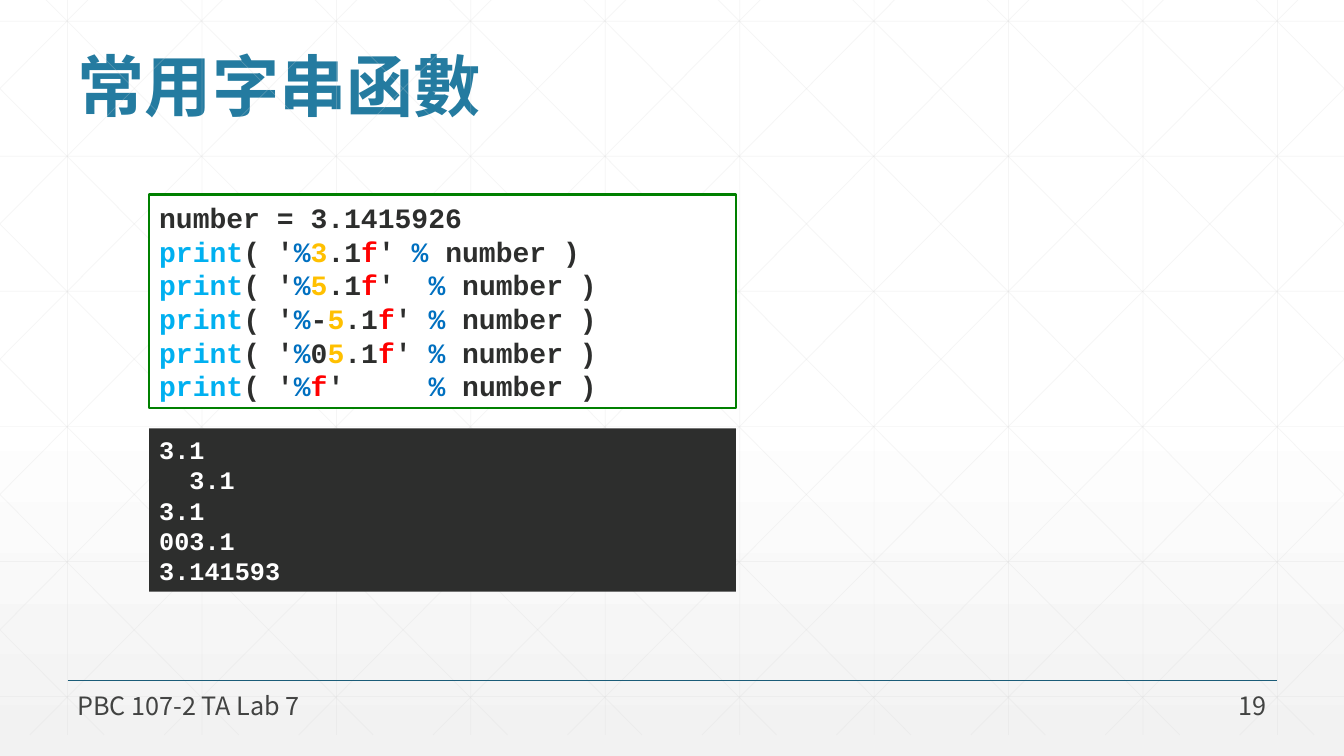
from lxml import etree
from pptx import Presentation
from pptx import util as u
from pptx.dml.color import RGBColor
from pptx.enum import shapes, text
from pptx.oxml.ns import qn

WIDTH, HEIGHT = 13.33, 7.5
SANS, MONO = "Noto Sans CJK TC", "Courier New"
INK, WHITE, GRID, GREY = "2D2E2D", "FFFFFF", "D9D9D9", "424342"
TOKEN_COLOURS = {"print": "00B0F0", "%": "0070C0", "3": "FFC000", "5": "FFC000", "f": "FF0000"}

# The bar separates tokens that may differ in colour.
CODE = [
    "number = 3.1415926",
    "print|( '|%|3|.1|f|' |%| number )",
    "print|( '|%|5|.1|f|'  |%| number )",
    "print|( '|%|-|5|.1|f|' |%| number )",
    "print|( '|%|0|5|.1|f|' |%| number )",
    "print|( '|%|f|'     |%| number )",
]
OUTPUT = ["3.1", "  3.1", "3.1", "003.1", "3.141593"]


def rgb(value):
    """Turn a hex string into a colour."""
    return RGBColor.from_string(value)


class SlideKit:
    """Holds the current slide and draws its elements in one style."""

    def __init__(self, page):
        self.page = page

    def background(self, top, bottom, start):
        """Fill the page with a downward gradient that begins at start."""
        fill = self.page.background.fill
        fill.gradient()
        fill.gradient_angle = 270
        first, last = fill.gradient_stops
        first.color.rgb, last.color.rgb = rgb(top), rgb(bottom)
        first.position, last.position = start, 1.0

    def line(self, x1, y1, x2, y2, colour, width, opacity=100):
        """Draw a straight line without a shadow."""
        connector = self.page.shapes.add_connector(
            shapes.MSO_CONNECTOR.STRAIGHT, *map(u.Inches, (x1, y1, x2, y2)))
        connector.line.width = u.Pt(width)
        connector.line.color.rgb = rgb(colour)
        properties = connector._element.spPr
        if opacity < 100:
            shade = properties.find(".//" + qn("a:srgbClr"))
            etree.SubElement(shade, qn("a:alpha")).set("val", str(opacity * 1000))
        etree.SubElement(properties, qn("a:effectLst"))

    def style(self, para, face, size, colour, bold=False, align=text.PP_ALIGN.LEFT):
        """Set the alignment and font of a paragraph."""
        para.alignment = align
        font = para.font
        font.size, font.bold, font.name = u.Pt(size), bold, face
        font.color.rgb = rgb(colour)
        etree.SubElement(font._element, qn("a:ea")).set("typeface", face)

    def title(self, words, left, top, width, height):
        """Place and format the title placeholder."""
        box = self.page.shapes.title
        box.left, box.top, box.width, box.height = map(u.Inches, (left, top, width, height))
        frame = box.text_frame
        frame.text = words
        frame.auto_size = text.MSO_AUTO_SIZE.NONE
        frame.vertical_anchor = text.MSO_ANCHOR.BOTTOM
        para = frame.paragraphs[0]
        para.line_spacing = 0.9
        self.style(para, SANS, 48, "247BA0", bold=True)

    def label(self, words, left, width, align):
        """Write a footer text."""
        box = self.page.shapes.add_textbox(*map(u.Inches, (left, 6.88, width, 0.24)))
        frame = box.text_frame
        frame.word_wrap = True
        frame.margin_top = frame.margin_bottom = 0
        frame.vertical_anchor = text.MSO_ANCHOR.MIDDLE
        frame.text = words
        self.style(frame.paragraphs[0], SANS, 18, GREY, align=align)

    def listing(self, lines, top, height, size, fill, colour, border=None, tokens=None):
        """Draw a panel of monospaced lines, colouring known tokens."""
        box = self.page.shapes.add_shape(
            shapes.MSO_SHAPE.RECTANGLE, *map(u.Inches, (1.48, top, 5.82, height)))
        box.shadow.inherit = False
        box.fill.solid()
        box.fill.fore_color.rgb = rgb(fill)
        if border:
            box.line.color.rgb = rgb(border)
            box.line.width = u.Pt(1.5)
        else:
            box.line.fill.background()
        frame = box.text_frame
        frame.word_wrap = True
        frame.vertical_anchor = text.MSO_ANCHOR.MIDDLE
        for index, line in enumerate(lines):
            para = frame.add_paragraph() if index else frame.paragraphs[0]
            self.style(para, MONO, size, colour, bold=True)
            for token in line.split("|"):
                span = para.add_run()
                span.text = token
                span.font.color.rgb = rgb((tokens or {}).get(token, colour))

    def lattice(self):
        """Draw the faint grid with its mirrored diagonals."""
        step, top, bottom, run = 4 / 3, -0.21, 7.29, 7.45
        faint = (GRID, 0.5, 25)
        for column in range(10):
            x = 0.67 + column * step
            self.line(x, top, x, bottom, *faint)
        for row in range(6):
            y = 0.21 + row * 1.34
            self.line(0, y, WIDTH, y, *faint)
        for number in range(-5, 10):
            start = 0.25 + number * step
            x1, x2 = max(start, 0), min(start + run, WIDTH)
            y1, y2 = (top + (x - start) * (bottom - top) / run for x in (x1, x2))
            self.line(x1, y1, x2, y2, *faint)
            self.line(WIDTH - x1, y1, WIDTH - x2, y2, *faint)


def main():
    """Build the slide and save it."""
    deck = Presentation()
    deck.slide_width, deck.slide_height = u.Inches(WIDTH), u.Inches(HEIGHT)
    kit = SlideKit(deck.slides.add_slide(deck.slide_layouts[5]))
    kit.background(WHITE, "F2F2F2", 0.53)
    kit.lattice()
    kit.line(0.67, 6.75, 12.67, 6.75, "1B5C78", 1)
    kit.title("常用字串函數", 0.67, 0.22, 12, 1.08)
    kit.label("PBC 107-2 TA Lab 7", 0.67, 6.7, text.PP_ALIGN.LEFT)
    kit.label("19", 11.66, 1, text.PP_ALIGN.RIGHT)
    kit.listing(CODE, 1.93, 2.12, 20, WHITE, INK, border="008000", tokens=TOKEN_COLOURS)
    kit.listing(OUTPUT, 4.25, 1.62, 18, INK, WHITE)
    deck.save("out.pptx")


main()
